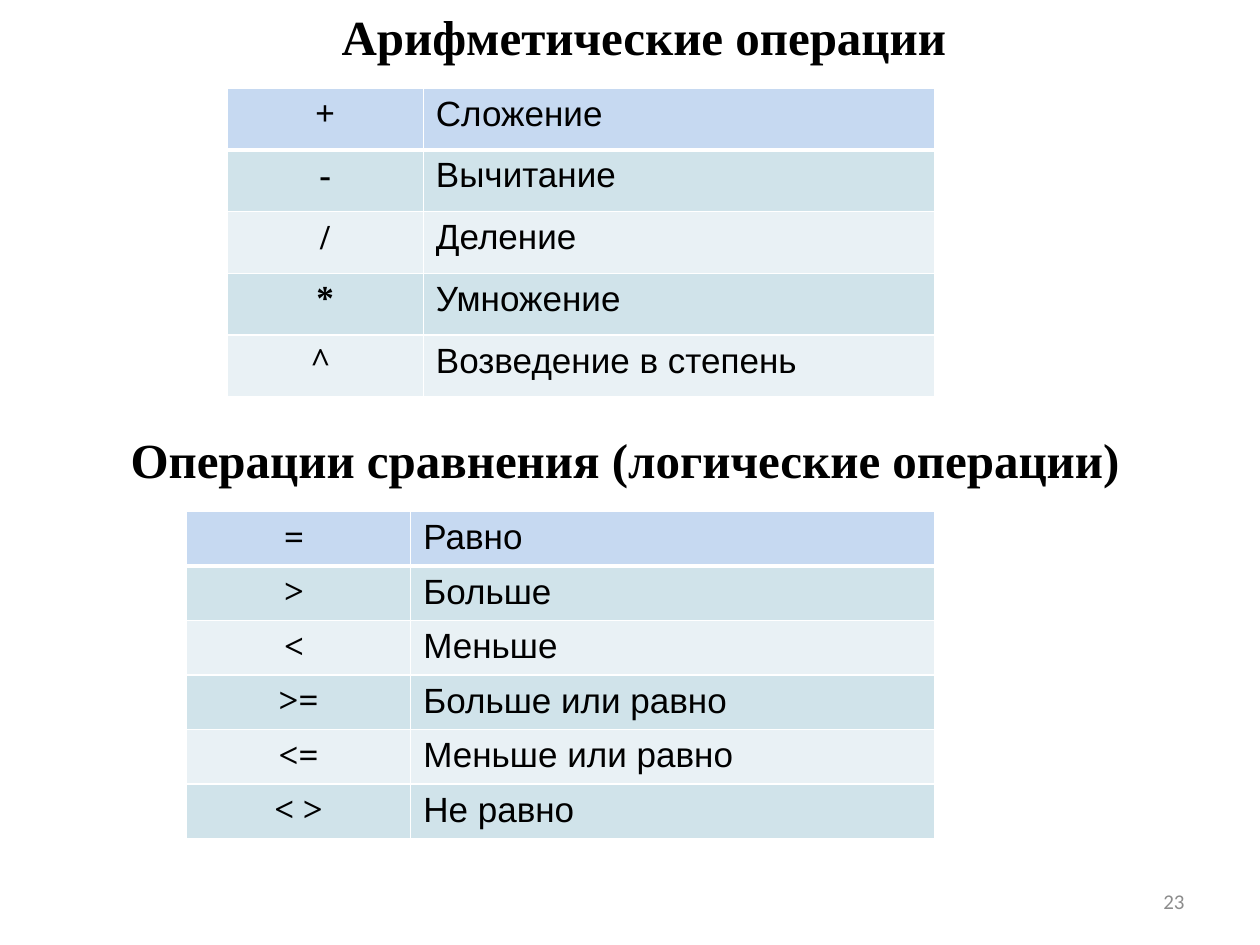
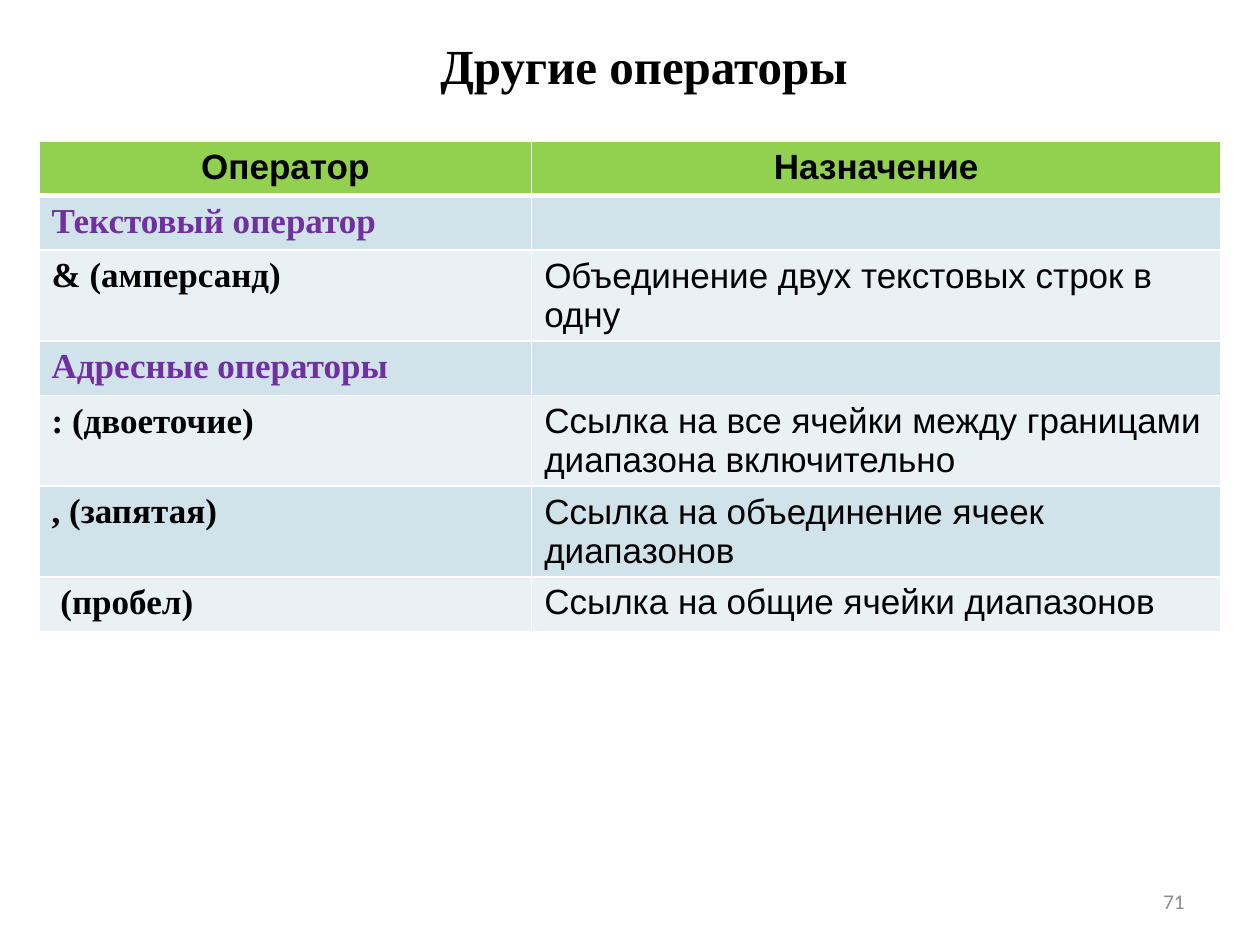
from dataclasses import dataclass, replace

import lxml.etree
import pptx
import pptx.dml.color
import pptx.enum.text
import pptx.oxml.ns
import pptx.util

ALIGN = pptx.enum.text.PP_ALIGN
ANCHOR = pptx.enum.text.MSO_ANCHOR
COLUMNS, ROWS = 100, 75
WIDTH, HEIGHT = pptx.util.Inches(10), pptx.util.Inches(7.5)


@dataclass(frozen=True)
class TextStyle:
    font: str
    size: int
    color: str = "000000"
    bold: bool = False
    align: ALIGN = ALIGN.LEFT


class Theme:
    title = TextStyle("Times New Roman", 28, bold=True, align=ALIGN.CENTER)
    number = TextStyle("Calibri", 12, "8C8C8C", align=ALIGN.RIGHT)
    label = TextStyle("Arial", 20)
    header = replace(label, bold=True, align=ALIGN.CENTER)
    operator = TextStyle("Times New Roman", 20, bold=True)
    symbol = replace(operator, align=ALIGN.CENTER)
    group = replace(operator, color="7030A0")
    blue, green = "C6D9F1", "92D050"
    bands = ("D0E3EA", "E9F1F5")
    border = "FFFFFF"
    thin, thick = 1, 3


def rgb(color):
    return pptx.dml.color.RGBColor.from_string(color)


class Deck:
    def __init__(self, theme):
        self.theme = theme
        self.prs = pptx.Presentation()
        self.prs.slide_width, self.prs.slide_height = WIDTH, HEIGHT
        self.s = None

    def x(self, columns):
        return round(WIDTH * columns / COLUMNS)

    def y(self, rows):
        return round(HEIGHT * rows / ROWS)

    def box(self, left, top, width, height):
        return self.x(left), self.y(top), self.x(width), self.y(height)

    def add_text(self, tf, text, style):
        p = tf.paragraphs[0]
        p.alignment = style.align
        r = p.add_run()
        r.text = text
        r.font.name = style.font
        r.font.size = pptx.util.Pt(style.size)
        r.font.bold = style.bold
        r.font.color.rgb = rgb(style.color)

    def slide(self, title, top, number):
        """Start a title-only slide with its title and page number."""
        self.s = self.prs.slides.add_slide(self.prs.slide_layouts[5])
        sp = self.s.shapes.title
        sp.left, sp.top, sp.width, sp.height = self.box(6.2, top, 89.8, 5.7)
        self.fill_text(sp.text_frame, title, self.theme.title, ANCHOR.TOP)
        self.text(number, self.theme.number, (71.7, 69.5, 23.3, 4), ANCHOR.MIDDLE)

    def fill_text(self, tf, text, style, anchor):
        tf.word_wrap = True
        tf.auto_size = pptx.enum.text.MSO_AUTO_SIZE.NONE
        tf.vertical_anchor = anchor
        self.add_text(tf, text, style)

    def text(self, text, style, place, anchor=ANCHOR.TOP):
        sp = self.s.shapes.add_textbox(*self.box(*place))
        self.fill_text(sp.text_frame, text, style, anchor)

    def heading(self, text, left, top):
        self.text(text, self.theme.title, (left, top, 89.8, 5.7))

    def borders(self, cell, top, bottom):
        tc_pr = cell._tc.get_or_add_tcPr()
        thin = self.theme.thin
        for side, width in zip("LRTB", (thin, thin, top, bottom)):
            ln = lxml.etree.SubElement(tc_pr, pptx.oxml.ns.qn(f"a:ln{side}"),
                                       w=str(pptx.util.Pt(width)))
            fill = lxml.etree.SubElement(ln, pptx.oxml.ns.qn("a:solidFill"))
            lxml.etree.SubElement(fill, pptx.oxml.ns.qn("a:srgbClr"),
                                  val=self.theme.border)

    def table(self, rows, left, top, widths, row_height, header_fill):
        """Draw rows of (text, style) cells under a thick first rule."""
        theme = self.theme
        place = self.box(left, top, sum(widths), row_height * len(rows))
        table = self.s.shapes.add_table(len(rows), len(widths), *place).table
        for column, width in zip(table.columns, widths):
            column.width = self.x(width)
        for i, row in enumerate(rows):
            table.rows[i].height = self.y(row_height)
            color = theme.bands[(i - 1) % 2] if i else header_fill
            for j, (text, style) in enumerate(row):
                cell = table.cell(i, j)
                self.borders(cell, theme.thick if i == 1 else theme.thin,
                             theme.thin if i else theme.thick)
                cell.fill.solid()
                cell.fill.fore_color.rgb = rgb(color)
                if text:
                    self.add_text(cell.text_frame, text, style)


def styled(rows, *styles):
    """Pair each cell of every row with the style of its column."""
    return [list(zip(row, styles)) for row in rows]


ARITHMETIC = [
    ("+", "Сложение"),
    ("-", "Вычитание"),
    ("/", "Деление"),
    ("*", "Умножение"),
    ("^ ", "Возведение в степень"),
]
COMPARISON = [
    ("= ", "Равно"),
    ("> ", "Больше"),
    ("< ", "Меньше"),
    (">=", "Больше или равно"),
    ("<=", "Меньше или равно"),
    ("< >", "Не равно"),
]
OPERATOR_HEADER = ("Оператор", "Назначение")
OPERATOR_GROUPS = {
    "Текстовый оператор": [
        ("& (амперсанд)", "Объединение двух текстовых строк в одну"),
    ],
    "Адресные операторы": [
        (": (двоеточие)",
         "Ссылка на все ячейки между границами диапазона включительно"),
        (", (запятая)", "Ссылка на объединение ячеек диапазонов"),
        (" (пробел)", "Ссылка на общие ячейки диапазонов"),
    ],
}


def operations_slide(deck):
    theme = deck.theme
    deck.slide("Арифметические операции", 0, "23")
    deck.heading("Операции сравнения (логические операции)", 4.7, 33.6)
    deck.table(styled(ARITHMETIC, theme.symbol, theme.label),
               18, 7, (15.6, 40.6), 4.9, theme.blue)
    deck.table(styled(COMPARISON, theme.symbol, theme.label),
               14.8, 40.6, (17.8, 41.6), 4.33, theme.blue)


def operators_slide(deck):
    theme = deck.theme
    deck.slide("Другие операторы", 2.3, "71")
    rows = styled([OPERATOR_HEADER], theme.header, theme.header)
    for group, operators in OPERATOR_GROUPS.items():
        rows += styled([(group, "")], theme.group, theme.label)
        rows += styled(operators, theme.operator, theme.label)
    deck.table(rows, 3.1, 11.2, (39.1, 54.7), 4.33, theme.green)


def main():
    deck = Deck(Theme())
    operations_slide(deck)
    operators_slide(deck)
    deck.prs.save("out.pptx")


if __name__ == "__main__":
    main()
